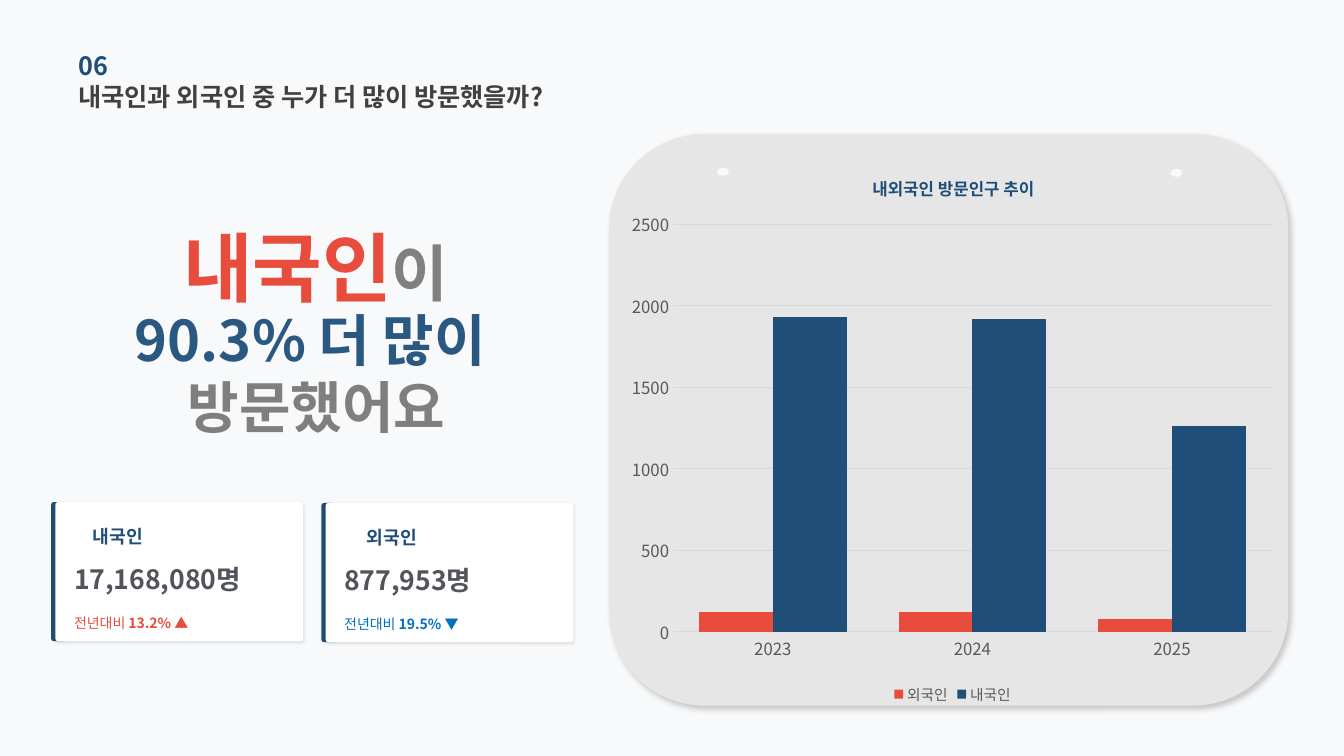
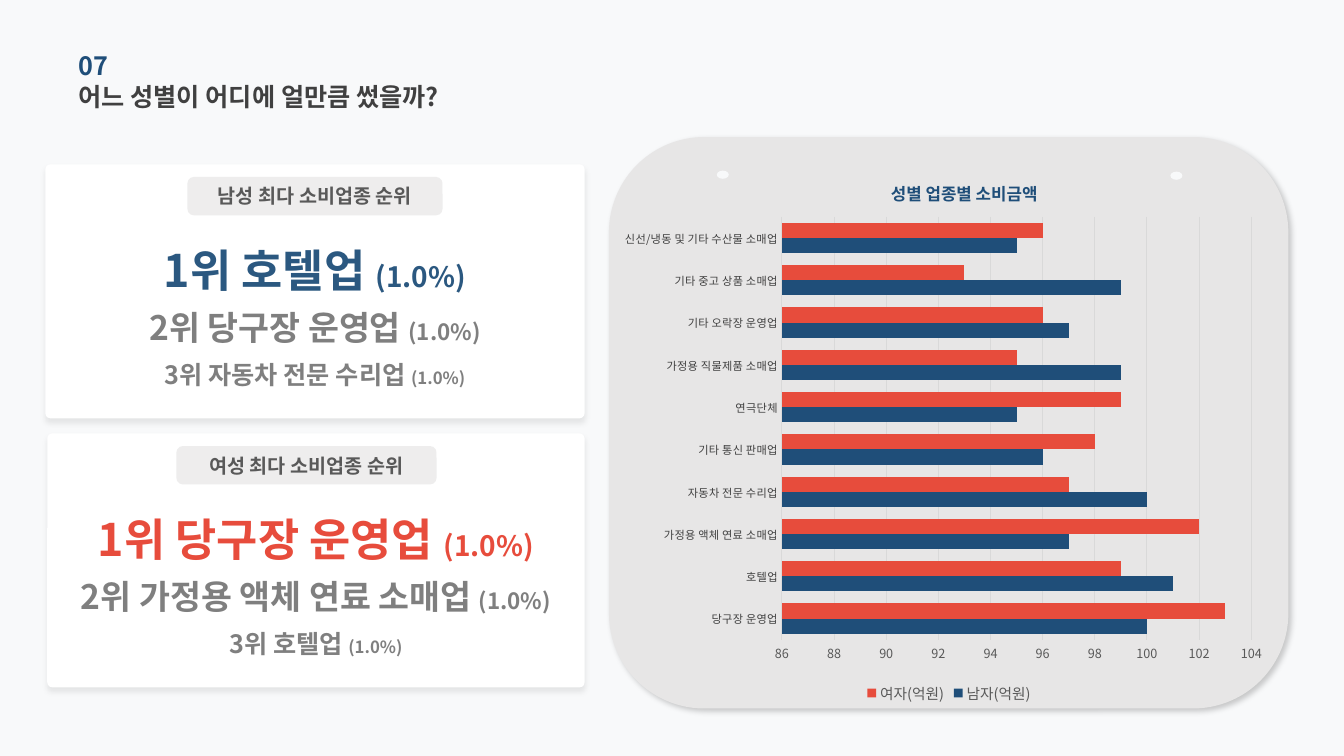
"""Build two slides on visitor numbers and on spending by gender."""
from lxml.etree import SubElement
from pptx import Presentation
from pptx.chart.data import CategoryChartData
from pptx.dml.color import RGBColor
from pptx.enum.chart import XL_CHART_TYPE as CHART, XL_LEGEND_POSITION, XL_TICK_MARK
from pptx.enum.shapes import MSO_SHAPE as SHAPE
from pptx.enum.text import MSO_ANCHOR, MSO_AUTO_SIZE, PP_ALIGN as ALIGN
from pptx.oxml import parse_xml
from pptx.oxml.ns import nsdecls, qn
from pptx.util import Pt

FONT = "Noto Sans CJK KR"
COLORS = {
    "page": "F8F9FA", "panel": "E7E6E6", "card": "FFFFFF", "pill": "D0CECE",
    "navy": "1F4E79", "blue": "2B5880", "red": "E74C3C", "fall": "0070C0",
    "heading": "404040", "amount": "51545A", "label": "595959",
    "gray": "7F7F7F", "particle": "808080", "grid": "D9D9D9",
}


def style(font, size, color, bold=True):
    font.name, font.size, font.bold = FONT, Pt(size), bold
    font.color.rgb = RGBColor.from_string(COLORS[color])


def draw(slide, kind, box, color, radius=None, shadow=None):
    shape = slide.shapes.add_shape(kind, *map(Pt, box))
    shape.fill.solid()
    shape.fill.fore_color.rgb = RGBColor.from_string(COLORS[color])
    shape.line.fill.background()
    shape.shadow.inherit = False
    if radius is not None:
        shape.adjustments[0] = radius
    if shadow:
        alpha, blur, distance, angle = shadow
        effects = shape.element.spPr.find(qn("a:effectLst"))
        outer = SubElement(effects, qn("a:outerShdw"), blurRad=str(Pt(blur)),
                           dist=str(Pt(distance)), dir=str(angle * 60000),
                           algn="tl", rotWithShape="0")
        black = SubElement(outer, qn("a:srgbClr"), val="000000")
        SubElement(black, qn("a:alpha"), val=str(alpha * 1000))
    return shape


deck = Presentation()
deck.slide_width, deck.slide_height = Pt(960), Pt(540)
backdrop = deck.slide_master.background.fill
backdrop.solid()
backdrop.fore_color.rgb = RGBColor.from_string(COLORS["page"])

list_level = deck.slide_master.element.find(
    ".//" + qn("p:bodyStyle") + "/" + qn("a:lvl1pPr"))
list_level.set("marL", "0")
list_level.set("indent", "0")
bullet = list_level.find(qn("a:buChar"))
bullet.addprevious(parse_xml(f"<a:buNone {nsdecls('a')}/>"))
list_level.remove(bullet)

pages = [
    dict(layout=5, number="06", heading="내국인과 외국인 중 누가 더 많이 방문했을까?",
         panel_top=95.8, chart_box=(442.8, 106.6, 475.2, 399.6),
         kind=CHART.COLUMN_CLUSTERED, chart_title="내외국인 방문인구 추이",
         title_at=(0.375, 0.037), plot_at=(0.08, 0.134, 0.9, 0.729), gap=70,
         categories=["2023", "2024", "2025"], category_font=(12, "label"),
         value_size=12, scale=(0, 2500, 500),
         series=[("외국인", "red", [120, 120, 80]),
                 ("내국인", "navy", [1930, 1920, 1260])]),
    dict(layout=3, number="07", heading="어느 성별이 어디에 얼만큼 썼을까?",
         panel_top=97.9, chart_box=(445.7, 109.4, 464.4, 396),
         kind=CHART.BAR_CLUSTERED, chart_title="성별 업종별 소비금액",
         title_at=(0.406, 0.041), plot_at=(0.243, 0.115, 0.722, 0.763), gap=80,
         categories=["당구장 운영업", "호텔업", "가정용 액체 연료 소매업",
                     "자동차 전문 수리업", "기타 통신 판매업", "연극단체",
                     "가정용 직물제품 소매업", "기타 오락장 운영업",
                     "기타 중고 상품 소매업", "신선/냉동 및 기타 수산물 소매업"],
         category_font=(8, "heading"), value_size=9, scale=(86, 104, 2),
         series=[("남자(억원)", "navy", [100, 101, 97, 100, 96, 95, 99, 97, 99, 95]),
                 ("여자(억원)", "red", [103, 99, 102, 97, 98, 99, 95, 96, 93, 96])]),
]
texts = []
drawn = []

for page in pages:
    slide = deck.slides.add_slide(deck.slide_layouts[page["layout"]])
    drawn.append(slide.element)
    heading = slide.shapes.title
    heading.left, heading.top, heading.width, heading.height = map(Pt, (56, 54, 380, 29.5))
    number = slide.shapes.add_textbox(*map(Pt, (56, 31.7, 325, 29.5)))
    texts += [(heading, ALIGN.LEFT, 0, [[(page["heading"], 18, "heading")]]),
              (number, ALIGN.LEFT, 0, [[(page["number"], 18, "navy")]])]

    top = page["panel_top"]
    draw(slide, SHAPE.ROUNDED_RECTANGLE, (435, top, 485.3, 408.2), "panel",
         shadow=(20, 4, 3, 45))
    for left, drop in ((512, 24), (836, 24.7)):
        draw(slide, SHAPE.OVAL, (left, top + drop, 8.6, 5.8), "page")

    figures = CategoryChartData()
    figures.categories = page["categories"]
    for name, _, values in page["series"]:
        figures.add_series(name, values)
    chart = slide.shapes.add_chart(
        page["kind"], *map(Pt, page["chart_box"]), figures).chart
    drawn.append(chart.element)
    chart.font.name, chart.font.size = "Calibri", Pt(10)
    chart.has_title = True
    caption = chart.chart_title.text_frame
    caption.text = page["chart_title"]
    style(caption.paragraphs[0].runs[0].font, 12, "navy")
    chart.has_legend = True
    chart.legend.position = XL_LEGEND_POSITION.BOTTOM
    chart.legend.include_in_layout = False
    style(chart.legend.font, 10.5, "label", False)

    plot = chart.plots[0]
    plot.gap_width, plot.overlap, plot.vary_by_categories = page["gap"], 0, False
    for bars, (_, color, _) in zip(plot.series, page["series"]):
        bars.format.fill.solid()
        bars.format.fill.fore_color.rgb = RGBColor.from_string(COLORS[color])
        bars.invert_if_negative = False

    category_axis, value_axis = chart.category_axis, chart.value_axis
    style(category_axis.tick_labels.font, *page["category_font"], False)
    style(value_axis.tick_labels.font, page["value_size"], "label", False)
    value_axis.minimum_scale, value_axis.maximum_scale, value_axis.major_unit = page["scale"]
    value_axis.has_major_gridlines = True
    value_axis.format.line.fill.background()
    for axis in (category_axis, value_axis):
        axis.major_tick_mark = axis.minor_tick_mark = XL_TICK_MARK.NONE
    for line in (category_axis.format.line, value_axis.major_gridlines.format.line):
        line.color.rgb = RGBColor.from_string(COLORS["grid"])
        line.width = Pt(0.75)

    chart_body = chart.element.find(qn("c:chart"))
    plot_area = chart_body.find(qn("c:plotArea"))
    clear = f"<c:spPr {nsdecls('c', 'a')}><a:noFill/><a:ln><a:noFill/></a:ln></c:spPr>"
    chart_body.addnext(parse_xml(clear))
    plot_area.append(parse_xml(clear))
    for part, position, place in ((chart_body.find(qn("c:title")), 1, page["title_at"]),
                                  (plot_area, 0, page["plot_at"])):
        for automatic in part.findall(qn("c:layout")):
            part.remove(automatic)
        layout = parse_xml(f"<c:layout {nsdecls('c')}/>")
        manual = SubElement(layout, qn("c:manualLayout"))
        if part is plot_area:
            SubElement(manual, qn("c:layoutTarget"), val="inner")
        for mode in ("c:xMode", "c:yMode"):
            SubElement(manual, qn(mode), val="edge")
        for tag, fraction in zip(("c:x", "c:y", "c:w", "c:h"), place):
            SubElement(manual, qn(tag), val=str(fraction))
        part.insert(position, layout)

visitors, spending = deck.slides

headline = [
    ((71, 173, 309, 34.5), [[("내국인", 54, "red"), ("이", 44, "particle")]]),
    ((27.4, 236, 397.4, 60.5), [[("90.3% 더 많이 ", 40, "blue")],
                                [("방문했어요", 40, "gray")]]),
]
for box, lines in headline:
    message = visitors.shapes.add_textbox(*map(Pt, box))
    texts.append((message, ALIGN.CENTER, 0, lines))

groups = [("내국인", "17,168,080명", "13.2% ▲", "red"),
          ("외국인", "877,953명", "19.5% ▼", "fall")]
for index, (group, amount, change, color) in enumerate(groups):
    left, top = 39.6 + 193 * index, 358.6 + 0.7 * index
    draw(visitors, SHAPE.ROUNDED_RECTANGLE, (left - 3, top, 10.8, 99.4), "navy")
    draw(visitors, SHAPE.ROUNDED_RECTANGLE, (left, top, 177, 99.4), "card",
         radius=0.02, shadow=(10, 2, 1, 90))
    rows = [((left + 26.6 + 2.9 * index, top + 14.4, 47, 20), [(group, 13, "navy")]),
            ((left + 13.3, top + 41, 160, 28), [(amount, 19, "amount")]),
            ((left + 13.3, top + 70, 160, 32.4),
             [("전년대비 ", 10, color, False), (change, 10, color, True)])]
    for box, runs in rows:
        row = visitors.shapes.add_textbox(*map(Pt, box))
        texts.append((row, ALIGN.LEFT, 0, [runs]))

rankings = [
    ((32.4, 117.4, 385.2), (133.9, 182.2), "남성 최다 소비업종 순위", "blue",
     ["호텔업", "당구장 운영업", "자동차 전문 수리업"]),
    ((33.8, 309.6, 383.8), (126, 185.8), "여성 최다 소비업종 순위", "red",
     ["당구장 운영업", "가정용 액체 연료 소매업", "호텔업"]),
]
rank_lists = list(spending.placeholders)[1:]
for rank_list, ranking in zip(rank_lists, rankings):
    (left, top, width), (pill_left, pill_width), caption, color, trades = ranking
    draw(spending, SHAPE.ROUNDED_RECTANGLE, (left, top, width, 181.4), "card",
         radius=0.02, shadow=(8, 4, 3, 90))
    pill = draw(spending, SHAPE.ROUNDED_RECTANGLE,
                (pill_left, top + 9, pill_width, 27.4), "pill")
    tint = pill.element.spPr.find(qn("a:solidFill")).find(qn("a:srgbClr"))
    SubElement(tint, qn("a:alpha"), val="36000")
    texts.append((pill, ALIGN.CENTER, 0, [[(caption, 14, "label")]]))

    looks = [(32, 20, color), (24, 16, "gray"), (18, 12, "gray")]
    lines = [[(f"{rank}위 {trade} ", size, tone), ("(1.0%)", share_size, tone)]
             for rank, (trade, (size, share_size, tone))
             in enumerate(zip(trades, looks), start=1)]
    rank_list.left, rank_list.top, rank_list.width, rank_list.height = map(
        Pt, (left, top + 46.6, width, 123))
    spending.shapes.element.append(rank_list.element)
    texts.append((rank_list, ALIGN.CENTER, 8, lines))

for holder, alignment, gap, lines in texts:
    frame = holder.text_frame
    frame.word_wrap, frame.auto_size = True, MSO_AUTO_SIZE.NONE
    frame.vertical_anchor = MSO_ANCHOR.MIDDLE
    frame.margin_left = frame.margin_right = frame.margin_top = frame.margin_bottom = 0
    for index, runs in enumerate(lines):
        paragraph = frame.add_paragraph() if index else frame.paragraphs[0]
        paragraph.alignment = alignment
        paragraph.space_before = Pt(gap if index else 0)
        shared = runs[0][1:]
        style(paragraph.font, *shared)
        for words, *look in runs:
            run = paragraph.add_run()
            run.text = words
            if tuple(look) != shared:
                style(run.font, *look)

for root in drawn:
    for latin in list(root.iter(qn("a:latin"))):
        latin.addnext(parse_xml(f'<a:ea {nsdecls("a")} typeface="{FONT}"/>'))

deck.save("out.pptx")
